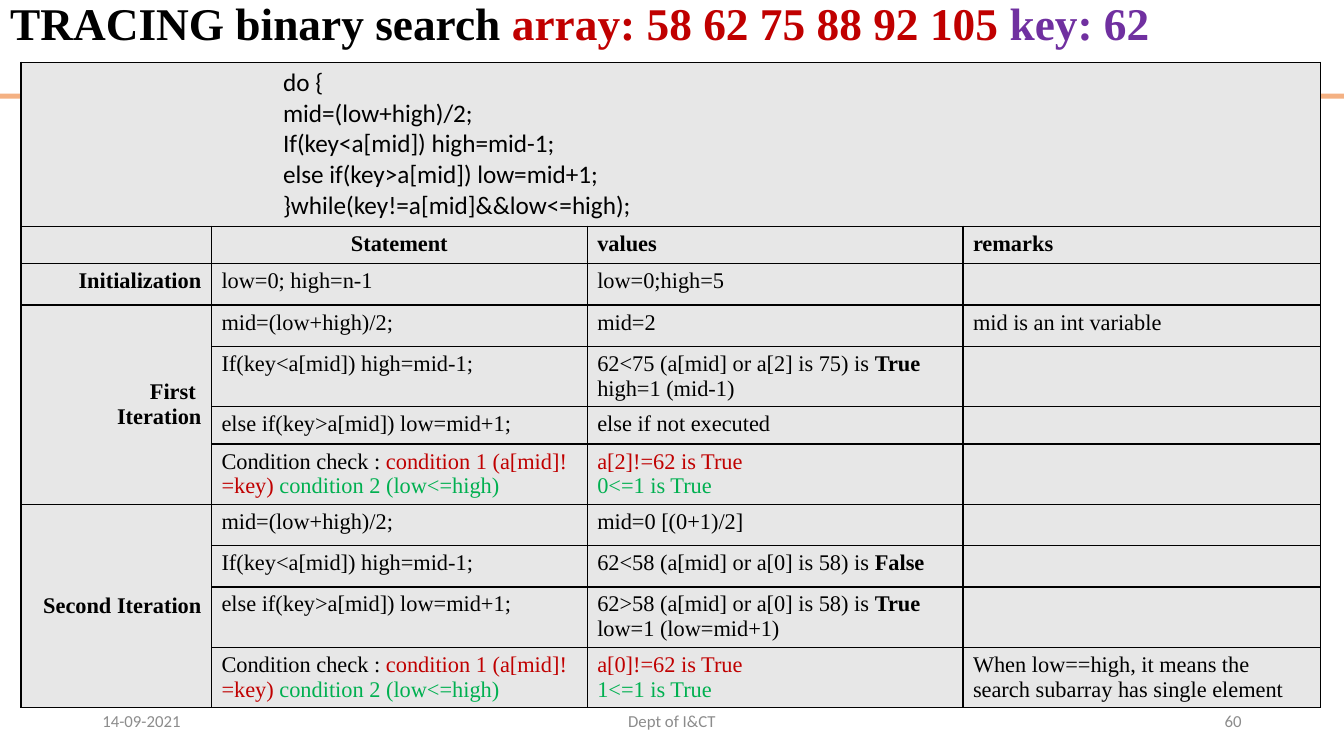
from dataclasses import dataclass

from lxml.etree import SubElement
from pptx import Presentation
from pptx.dml.color import RGBColor
from pptx.enum.shapes import MSO_SHAPE
from pptx.enum.text import MSO_ANCHOR, MSO_AUTO_SIZE, PP_ALIGN
from pptx.oxml.ns import qn
from pptx.util import Cm, Pt


@dataclass(frozen=True)
class Theme:
    """Colours, fonts and type sizes of the slide."""
    ink: str = "000000"
    red: str = "C00000"
    green: str = "00B050"
    purple: str = "7030A0"
    grey: str = "8C8C8C"
    band: str = "F4B183"
    cell: str = "E7E7E7"
    serif: str = "Times New Roman"
    sans: str = "Calibri"
    title_size: float = 32.4
    code_size: float = 18
    table_size: float = 16
    footer_size: float = 12


THEME = Theme()

CODE = [
    "do {",
    "mid=(low+high)/2;",
    "If(key<a[mid]) high=mid-1;",
    "else if(key>a[mid]) low=mid+1;",
    "}while(key!=a[mid]&&low<=high);",
]
MIDDLE, GO_LEFT, GO_RIGHT = ([[(line,)]] for line in CODE[1:4])
CONDITION = [[
    ("Condition check : ",),
    ("condition 1 (a[mid]!=key) ", THEME.red),
    ("condition 2 (low<=high)", THEME.green),
]]


def plain(text):
    """Return cell content of one plain line."""
    return [[(text,)]]


def bold(*lines):
    """Return cell content of bold lines."""
    return [[(line, THEME.ink, True)] for line in lines]


def comparison(test, outcome, *effects):
    """Return a test with its bold outcome, then its effects."""
    return [[(test,), (outcome, THEME.ink, True)]] + [[(effect,)] for effect in effects]


def conditions(first, second):
    """Return the two loop conditions in their colours."""
    return [[(first, THEME.red)], [(second, THEME.green)]]


TRACE = [
    ([], bold("Statement"), bold("values"), bold("remarks")),
    (bold("Initialization"), plain("low=0; high=n-1"), plain("low=0;high=5"), []),
    (bold("First ", "Iteration"), MIDDLE, plain("mid=2"), plain("mid is an int variable")),
    ([], GO_LEFT, comparison("62<75 (a[mid] or a[2] is 75) is ", "True", "high=1 (mid-1)"), []),
    ([], GO_RIGHT, plain("else if not executed"), []),
    ([], CONDITION, conditions("a[2]!=62 is True", "0<=1 is True"), []),
    (bold("Second Iteration"), MIDDLE, plain("mid=0 [(0+1)/2]"), []),
    ([], GO_LEFT, comparison("62<58 (a[mid] or a[0] is 58) is ", "False"), []),
    ([], GO_RIGHT, comparison("62>58 (a[mid] or a[0] is 58) is ", "True", "low=1 (low=mid+1)"), []),
    ([], CONDITION, conditions("a[0]!=62 is True", "1<=1 is True"),
     plain("When low==high, it means the search subarray has single element")),
]
COLUMN_SHARES = [4.8, 9.47, 9.47, 9.02]
ROW_HEIGHTS = [4.13, 0.88, 1.04, 1.04, 1.52, 0.88, 1.52, 1.04, 1.04, 1.52, 1.52]
ITERATION_ROWS = [(3, 6), (7, 10)]


def write(frame, lines, font, size, align=PP_ALIGN.LEFT):
    """Write lines of (text, colour, bold) runs into a text frame."""
    for index, runs in enumerate(lines):
        paragraph = frame.paragraphs[0] if index == 0 else frame.add_paragraph()
        paragraph.alignment = align
        for text, color, strong in ((*run, THEME.ink, False)[:3] if len(run) == 1
                                    else (*run, False)[:3] for run in runs):
            run = paragraph.add_run()
            run.text = text
            run.font.name = font
            run.font.size = Pt(size)
            run.font.bold = strong
            run.font.color.rgb = RGBColor.from_string(color)
    if not lines:
        end = SubElement(frame.paragraphs[0]._p, qn("a:endParaRPr"))
        end.set("sz", str(int(size * 100)))


def style_cell(cell):
    """Give a table cell its thin black borders and grey fill."""
    properties = cell._tc.get_or_add_tcPr()
    for side in ("a:lnL", "a:lnR", "a:lnT", "a:lnB"):
        line = SubElement(properties, qn(side), w=str(Pt(1)))
        fill = SubElement(line, qn("a:solidFill"))
        SubElement(fill, qn("a:srgbClr"), val=THEME.ink)
    cell.fill.solid()
    cell.fill.fore_color.rgb = RGBColor.from_string(THEME.cell)


def add_title(slide, left, top, width, height):
    """Place the title in its box."""
    title = slide.shapes.title
    title.left, title.top, title.width, title.height = map(Cm, (left, top, width, height))
    frame = title.text_frame
    frame.auto_size = MSO_AUTO_SIZE.NONE
    frame.word_wrap = True
    frame.vertical_anchor = MSO_ANCHOR.MIDDLE
    write(frame, [[
        ("TRACING binary search ", THEME.ink, True),
        ("array: 58 62 75 88 92 105 ", THEME.red, True),
        ("key: 62", THEME.purple, True),
    ]], THEME.serif, THEME.title_size)
    frame.paragraphs[0].line_spacing = 0.9


def add_band(slide, left, top, width, height):
    """Draw the orange band behind the table."""
    band = slide.shapes.add_shape(MSO_SHAPE.RECTANGLE, *map(Cm, (left, top, width, height)))
    band.shadow.inherit = False
    band.fill.solid()
    band.fill.fore_color.rgb = RGBColor.from_string(THEME.band)
    band.line.fill.background()


def add_trace_table(slide, left, top, width):
    """Build the code row and the trace rows within the given width."""
    frame = slide.shapes.add_table(len(ROW_HEIGHTS), len(COLUMN_SHARES),
                                   *map(Cm, (left, top, width, sum(ROW_HEIGHTS))))
    table = frame.table
    table.first_row = table.horz_banding = False
    for column, share in zip(table.columns, COLUMN_SHARES):
        column.width = Cm(width * share / sum(COLUMN_SHARES))
    for row, height in zip(table.rows, ROW_HEIGHTS):
        row.height = Cm(height)
    for cell in table.iter_cells():
        style_cell(cell)

    code_row = ([[(line,)] for line in CODE], [], [], [])
    for row_index, contents in enumerate([code_row, *TRACE]):
        font, size = ((THEME.sans, THEME.code_size) if row_index == 0
                      else (THEME.serif, THEME.table_size))
        for column_index, lines in enumerate(contents):
            align = PP_ALIGN.LEFT
            if row_index > 0 and column_index == 0:
                align = PP_ALIGN.RIGHT
            elif (row_index, column_index) == (1, 1):
                align = PP_ALIGN.CENTER
            write(table.cell(row_index, column_index).text_frame, lines, font, size, align)

    code_cell = table.cell(0, 0)
    for paragraph in code_cell.text_frame.paragraphs:
        paragraph.level = 5
        properties = paragraph._p.get_or_add_pPr()
        properties.set("marL", str(Cm(6.35)))
        properties.set("indent", "0")
    code_cell.merge(table.cell(0, len(COLUMN_SHARES) - 1))
    for first, last in ITERATION_ROWS:
        table.cell(first, 0).merge(table.cell(last, 0))
        table.cell(first, 0).vertical_anchor = MSO_ANCHOR.MIDDLE


def add_footer(slide, left, top, width, height):
    """Place date, department and slide number across the footer box."""
    side, middle = 7.62, 11.43
    parts = [
        ("14-09-2021", left, side, PP_ALIGN.LEFT),
        ("Dept of I&CT", left + (width - middle) / 2, middle, PP_ALIGN.CENTER),
        ("60", left + width - side, side, PP_ALIGN.RIGHT),
    ]
    for text, part_left, part_width, align in parts:
        box = slide.shapes.add_textbox(*map(Cm, (part_left, top, part_width, height)))
        box.text_frame.word_wrap = True
        box.text_frame.vertical_anchor = MSO_ANCHOR.MIDDLE
        write(box.text_frame, [[(text, THEME.grey)]], THEME.sans, THEME.footer_size, align)


def main():
    """Build and save the presentation."""
    presentation = Presentation()
    presentation.slide_width, presentation.slide_height = Cm(33.87), Cm(19.05)
    slide = presentation.slides.add_slide(presentation.slide_layouts[5])
    add_band(slide, 0, 2.36, 33.87, 0.13)
    add_title(slide, 0, 0.05, 32.46, 1.19)
    add_trace_table(slide, 0.53, 1.57, 32.76)
    add_footer(slide, 2.33, 17.65, 29.21, 1.02)
    presentation.save("out.pptx")


if __name__ == "__main__":
    main()
